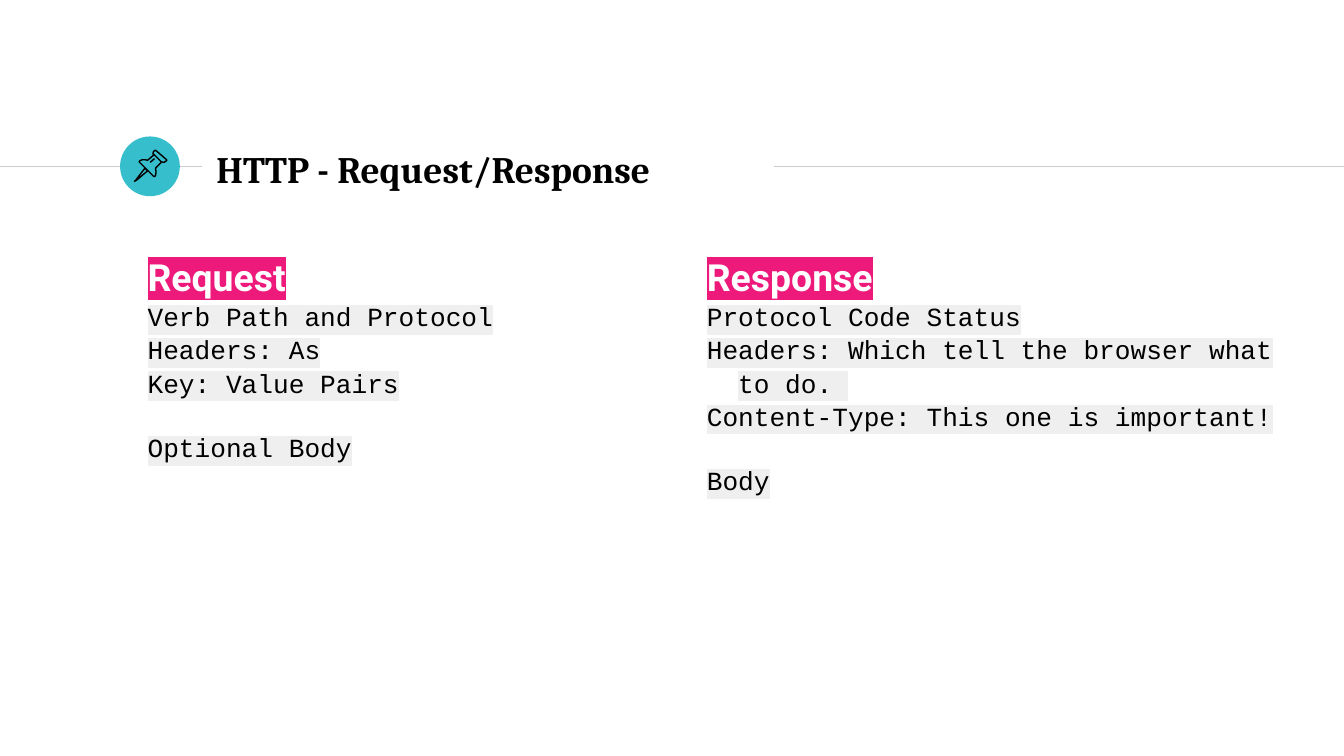
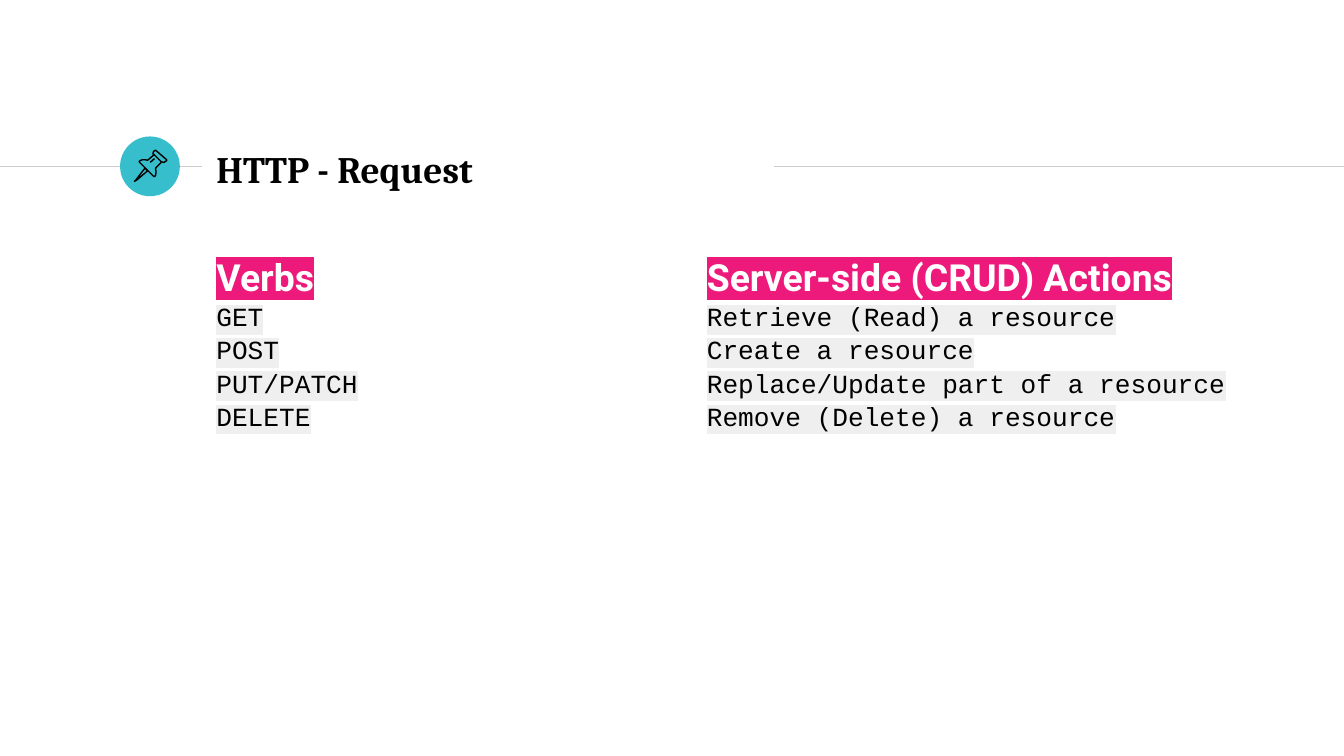
import pptx
import pptx.dml.color
import pptx.enum.shapes
import pptx.enum.text
import pptx.oxml
import pptx.oxml.ns
import pptx.util

Cm = pptx.util.Cm
Pt = pptx.util.Pt

COLOURS = {
    "rule": "CCCCCC",
    "badge": "37BECC",
    "ink": "000000",
    "white": "FFFFFF",
    "heading_mark": "ED197B",
    "code_mark": "EFEFEF",
}

# Text styles: font values, text colour, highlight colour
TITLE = ({"name": "Cambria", "size": Pt(20), "bold": True}, "ink", None)
HEADING = ({"name": "Roboto", "size": Pt(20), "bold": True}, "white", "heading_mark")
CODE = ({"name": "Courier New", "size": Pt(14), "bold": False}, "ink", "code_mark")

# Paragraph formats
LINE = {"line_spacing": 1.06}
AFTER_GAP = {**LINE, "space_before": Pt(16.8)}
CODE_INDENT = Cm(0.59)

PAGE_WIDTH, PAGE_HEIGHT = 25.4, 14.29
RULE_Y = 3.15
TITLE_LEFT = 3.84
LEFT_COLUMN_END = 12.09
RIGHT_COLUMN = (13.11, 25.02)

# Pin outlines in hundredths of a centimetre: points, closed
PIN_PARTS = [
    ([(274, 318), (257, 340), (254, 343), (259, 340), (279, 323)], True),
    ([(291, 292), (305, 306), (310, 307), (313, 305), (315, 304), (315, 302),
      (294, 284), (292, 285), (290, 287), (289, 291)], True),
    ([(292, 292), (279, 303), (274, 302), (269, 302), (264, 304), (263, 306),
      (264, 307), (290, 333), (292, 334), (294, 332), (295, 325), (294, 318),
      (305, 307)], False),
    ([(284, 307), (292, 300)], False),
]


def colour(name):
    return pptx.dml.color.RGBColor.from_string(COLOURS[name])


def set_values(target, values):
    for name, value in values.items():
        setattr(target, name, value)


def highlight(span, name):
    mark = pptx.oxml.parse_xml(
        f'<a:highlight {pptx.oxml.ns.nsdecls("a")}>'
        f'<a:srgbClr val="{COLOURS[name]}"/></a:highlight>')
    properties = span._r.get_or_add_rPr()
    properties.find(pptx.oxml.ns.qn("a:solidFill")).addnext(mark)


def add_span(para, text, style):
    font_values, ink, mark = style
    span = para.add_run()
    span.text = text
    set_values(span.font, font_values)
    span.font.color.rgb = colour(ink)
    if mark:
        highlight(span, mark)


def add_text_box(page, left, top, width, height, anchor):
    box = page.shapes.add_textbox(Cm(left), Cm(top), Cm(width), Cm(height))
    frame = box.text_frame
    set_values(frame, {"word_wrap": True, "vertical_anchor": anchor})
    margins = ("margin_left", "margin_top", "margin_right", "margin_bottom")
    set_values(frame, dict.fromkeys(margins, Cm(0.25)))
    return frame


def add_rule(page, start, end):
    rule = page.shapes.add_connector(
        pptx.enum.shapes.MSO_CONNECTOR.STRAIGHT,
        Cm(start), Cm(RULE_Y), Cm(end), Cm(RULE_Y))
    rule.line.color.rgb = colour("rule")
    rule.line.width = Pt(0.75)
    rule._element.spPr.append(
        pptx.oxml.parse_xml(f'<a:effectLst {pptx.oxml.ns.nsdecls("a")}/>'))


def add_badge(page):
    badge = page.shapes.add_shape(
        pptx.enum.shapes.MSO_SHAPE.OVAL, Cm(2.27), Cm(2.58), Cm(1.13), Cm(1.13))
    badge.shadow.inherit = False
    badge.fill.solid()
    badge.fill.fore_color.rgb = colour("badge")
    badge.line.fill.background()


def add_pin(page):
    pin = page.shapes.add_group_shape()
    for points, closed in PIN_PARTS:
        builder = pin.shapes.build_freeform(*points[0], scale=Cm(0.01))
        builder.add_line_segments(points[1:], close=closed)
        part = builder.convert_to_shape()
        part.shadow.inherit = False
        part.fill.background()
        part.line.color.rgb = colour("ink")
        part.line.width = Pt(0.75)


def add_title(page, text):
    frame = add_text_box(page, TITLE_LEFT, 2.57, 10.77, 1.22,
                         pptx.enum.text.MSO_ANCHOR.MIDDLE)
    add_span(frame.paragraphs[0], text, TITLE)


def add_column(page, left, right, heading, lines):
    """Each line is its text, paragraph format and left indent."""
    frame = add_text_box(page, left, 4.5, right - left, 8.97,
                         pptx.enum.text.MSO_ANCHOR.TOP)
    para = frame.paragraphs[0]
    set_values(para, LINE)
    add_span(para, heading, HEADING)
    for text, values, indent in lines:
        para = frame.add_paragraph()
        set_values(para, values)
        para._p.get_or_add_pPr().set("marL", str(int(indent)))
        add_span(para, text, CODE)


def plain(*texts):
    return [(text, LINE, 0) for text in texts]


def add_page(deck, title):
    page = deck.slides.add_slide(deck.slide_layouts[6])
    add_rule(page, 0, 3.82)
    add_badge(page)
    add_rule(page, 14.63, PAGE_WIDTH)
    add_pin(page)
    add_title(page, title)
    return page


def main():
    deck = pptx.Presentation()
    set_values(deck, {"slide_width": Cm(PAGE_WIDTH), "slide_height": Cm(PAGE_HEIGHT)})

    # Message layout of requests and responses
    page = add_page(deck, "HTTP - Request/Response")
    add_column(page, 2.54, LEFT_COLUMN_END, "Request", [
        *plain("Verb Path and Protocol", "Headers: As", "Key: Value Pairs"),
        ("Optional Body", AFTER_GAP, 0),
    ])
    add_column(page, *RIGHT_COLUMN, "Response", [
        *plain("Protocol Code Status", "Headers: Which tell the browser what"),
        ("to do. ", LINE, CODE_INDENT),
        *plain("Content-Type: This one is important!"),
        ("Body", AFTER_GAP, 0),
    ])

    # Verbs and their actions
    page = add_page(deck, "HTTP - Request")
    add_column(page, TITLE_LEFT, LEFT_COLUMN_END, "Verbs",
               plain("GET", "POST", "PUT/PATCH", "DELETE"))
    add_column(page, *RIGHT_COLUMN, "Server-side (CRUD) Actions",
               plain("Retrieve (Read) a resource", "Create a resource",
                     "Replace/Update part of a resource",
                     "Remove (Delete) a resource"))

    deck.save("out.pptx")


if __name__ == "__main__":
    main()
